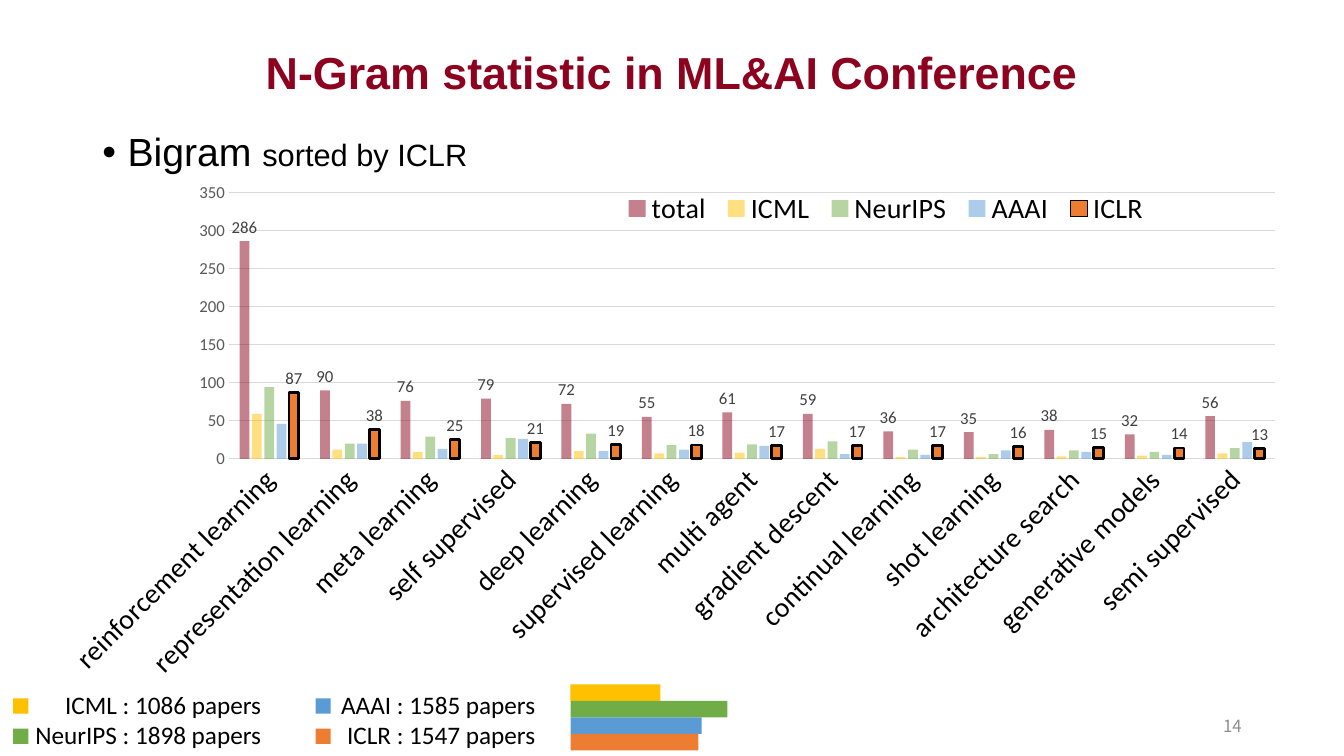
"""Build a slide charting the most frequent bigrams at ML and AI conferences."""
import pptx
import pptx.chart.data
import pptx.dml.color
import pptx.enum.chart
import pptx.enum.shapes
import pptx.enum.text
import pptx.oxml
import pptx.oxml.ns
import pptx.util

Pt = pptx.util.Pt
qn = pptx.oxml.ns.qn
ALIGN = pptx.enum.text.PP_ALIGN
ANCHOR = pptx.enum.text.MSO_ANCHOR

COLORS = {
    "total": "8D021F", "ICML": "FFC000", "NeurIPS": "70AD47", "AAAI": "5B9BD5", "ICLR": "ED7D31",
    "black": "000000", "grid": "D9D9D9", "axis": "595959", "label": "404040", "number": "8C8C8C",
}
TITLE = "N-Gram statistic in ML&AI Conference"
SUBJECT = [("Bigram ", 28), ("sorted by ICLR", 22)]
SLIDE_NUMBER = "14"
PAPERS = {"ICML": 1086, "NeurIPS": 1898, "AAAI": 1585, "ICLR": 1547}
KEY_COLUMNS = [
    {"names": ["ICML", "NeurIPS"], "swatch": 9.4, "text": 13},
    {"names": ["AAAI", "ICLR"], "swatch": 225.4, "text": 208.8},
]
SERIES = ["total", "ICML", "NeurIPS", "AAAI", "ICLR"]
LABELLED = ["total", "ICLR"]
BIGRAMS = [
    ("reinforcement learning", 286, 59, 94, 46, 87),
    ("representation learning", 90, 12, 20, 20, 38),
    ("meta learning", 76, 9, 29, 13, 25),
    ("self supervised", 79, 5, 27, 26, 21),
    ("deep learning", 72, 10, 33, 10, 19),
    ("supervised learning", 55, 7, 18, 12, 18),
    ("multi agent", 61, 8, 19, 17, 17),
    ("gradient descent", 59, 13, 23, 6, 17),
    ("continual learning", 36, 2, 12, 5, 17),
    ("shot learning", 35, 2, 6, 11, 16),
    ("architecture search", 38, 3, 11, 9, 15),
    ("generative models", 32, 4, 9, 5, 14),
    ("semi supervised", 56, 7, 14, 22, 13),
]
PLOT_LAYOUT = {"x": 0.147, "y": 0.039, "w": 0.833, "h": 0.514}
LEGEND_LAYOUT = {"x": 0.455, "y": 0.03, "w": 0.43, "h": 0.08}
KEY_TOP, KEY_PITCH, SWATCH = 498.9, 21.6, 10.8
BAR_LEFT, BAR_TOP, BAR_HEIGHT, POINTS_PER_PAPER = 407.5, 488.9, 11.8, 0.0591


def rgb(name):
    return pptx.dml.color.RGBColor.from_string(COLORS[name])


def apply(target, values):
    for name, value in values.items():
        setattr(target, name, value)


def style(font, size, color, face="Calibri", bold=False):
    apply(font, {"size": Pt(size), "name": face, "bold": bold})
    font.color.rgb = rgb(color)


def add_text(slide, box, lines, align, anchor=ANCHOR.TOP):
    """Add a text box; each line is a list of (text, size, color, face)."""
    frame = slide.shapes.add_textbox(*map(Pt, box)).text_frame
    apply(frame, {"word_wrap": True, "vertical_anchor": anchor})
    for index, runs in enumerate(lines):
        paragraph = frame.add_paragraph() if index else frame.paragraphs[0]
        paragraph.alignment = align
        for text, *look in runs:
            run = paragraph.add_run()
            run.text = text
            style(run.font, *look)
    return frame


def add_block(shapes, box, color):
    block = shapes.add_shape(pptx.enum.shapes.MSO_SHAPE.RECTANGLE, *map(Pt, box))
    block.shadow.inherit = False
    block.fill.solid()
    block.fill.fore_color.rgb = rgb(color)
    block.line.fill.background()


def place(parent, index, layout, inner=False):
    """Give a chart part a manual layout in fractions of the chart."""
    for old in parent.findall(qn("c:layout")):
        parent.remove(old)
    target = '<c:layoutTarget val="inner"/>' if inner else ""
    modes = "".join(f'<c:{axis}Mode val="edge"/>' for axis in "xy")
    sizes = "".join(f'<c:{name} val="{value}"/>' for name, value in layout.items())
    parent.insert(index, pptx.oxml.parse_xml(
        f'<c:layout {pptx.oxml.ns.nsdecls("c")}><c:manualLayout>{target}{modes}{sizes}'
        '</c:manualLayout></c:layout>'))


def add_title(slide):
    title = slide.shapes.title
    apply(title, {"left": Pt(66), "top": Pt(21.6), "width": Pt(828), "height": Pt(63.4)})
    title.text_frame.text = TITLE
    title.text_frame.vertical_anchor = ANCHOR.MIDDLE
    heading = title.text_frame.paragraphs[0]
    apply(heading, {"alignment": ALIGN.CENTER, "line_spacing": 0.9})
    style(heading.runs[0].font, 32, "total", "Arial", True)


def add_subject(slide):
    runs = [(text, size, "black", "Arial") for text, size in SUBJECT]
    subject = add_text(slide, (66, 91.4, 840, 406.8), [runs], ALIGN.LEFT).paragraphs[0]
    apply(subject, {"line_spacing": 0.9, "space_before": Pt(10)})
    properties = subject._p.get_or_add_pPr()
    properties.set("marL", str(Pt(18)))
    properties.set("indent", str(-Pt(18)))
    for tag, key, value in [("buFont", "typeface", "Arial"), ("buChar", "char", "•")]:
        properties.append(pptx.oxml.parse_xml(
            f'<a:{tag} {pptx.oxml.ns.nsdecls("a")} {key}="{value}"/>'))


def format_series(series):
    fill = series.format.fill
    fill.solid()
    fill.fore_color.rgb = rgb(series.name)
    if series.name == "ICLR":
        series.format.line.width = Pt(2)
        series.format.line.color.rgb = rgb("black")
    else:
        color = series._element.find(".//" + qn("a:srgbClr"))
        color.append(pptx.oxml.parse_xml(
            f'<a:alpha {pptx.oxml.ns.nsdecls("a")} val="50000"/>'))
    if series.name in LABELLED:
        labels = series.data_labels
        apply(labels, {"show_value": True,
                       "position": pptx.enum.chart.XL_LABEL_POSITION.OUTSIDE_END})
        style(labels.font, 12, "label")


def add_bigram_chart(slide):
    names, *columns = zip(*BIGRAMS)
    data = pptx.chart.data.CategoryChartData()
    data.categories = names
    for name, counts in zip(SERIES, columns):
        data.add_series(name, counts)
    chart = slide.shapes.add_chart(
        pptx.enum.chart.XL_CHART_TYPE.COLUMN_CLUSTERED,
        *map(Pt, (31.7, 123.1, 897.1, 370.1)), data).chart
    apply(chart, {"has_title": False, "has_legend": True})
    style(chart.font, 10, "black")
    apply(chart.plots[0], {"gap_width": 219, "overlap": -27, "vary_by_categories": False})
    for series in chart.plots[0].series:
        format_series(series)

    no_tick = pptx.enum.chart.XL_TICK_MARK.NONE
    bigrams, counts = chart.category_axis, chart.value_axis
    for axis, size, color in [(bigrams, 20, "black"), (counts, 12, "axis")]:
        apply(axis, {"major_tick_mark": no_tick, "minor_tick_mark": no_tick})
        style(axis.tick_labels.font, size, color)
    apply(counts, {"minimum_scale": 0, "maximum_scale": 350, "major_unit": 50,
                   "has_major_gridlines": True})
    counts.format.line.fill.background()
    for line in (bigrams.format.line, counts.major_gridlines.format.line):
        line.width = Pt(0.75)
        line.color.rgb = rgb("grid")
    bigrams._element.find(qn("c:txPr")).find(qn("a:bodyPr")).set("rot", "-2700000")

    legend = chart.legend
    apply(legend, {"position": pptx.enum.chart.XL_LEGEND_POSITION.BOTTOM,
                   "include_in_layout": True})
    style(legend.font, 20, "black")
    place(legend._element, 1, LEGEND_LAYOUT)
    place(chart._chartSpace.find(".//" + qn("c:plotArea")), 0, PLOT_LAYOUT, inner=True)


def add_paper_counts(slide):
    for column in KEY_COLUMNS:
        lines = [[(f"{name} : {PAPERS[name]} papers", 18, "black")] for name in column["names"]]
        add_text(slide, (column["text"], BAR_TOP, 180.7, 72.7), lines, ALIGN.RIGHT)
        for row, name in enumerate(column["names"]):
            top = KEY_TOP + row * KEY_PITCH
            add_block(slide.shapes, (column["swatch"], top, SWATCH, SWATCH), name)
    bars = slide.shapes.add_group_shape().shapes
    for row, (name, papers) in enumerate(PAPERS.items()):
        top = BAR_TOP + row * BAR_HEIGHT
        add_block(bars, (BAR_LEFT, top, papers * POINTS_PER_PAPER, BAR_HEIGHT), name)


def main():
    deck = pptx.Presentation()
    apply(deck, {"slide_width": Pt(960), "slide_height": Pt(540)})
    slide = deck.slides.add_slide(deck.slide_layouts[5])
    add_title(slide)
    add_subject(slide)
    add_text(slide, (678, 504, 216, 28.8),
             [[(SLIDE_NUMBER, 12, "number", "Noto Sans CJK KR")]], ALIGN.RIGHT, ANCHOR.MIDDLE)
    add_bigram_chart(slide)
    add_paper_counts(slide)
    deck.save("out.pptx")


if __name__ == "__main__":
    main()
